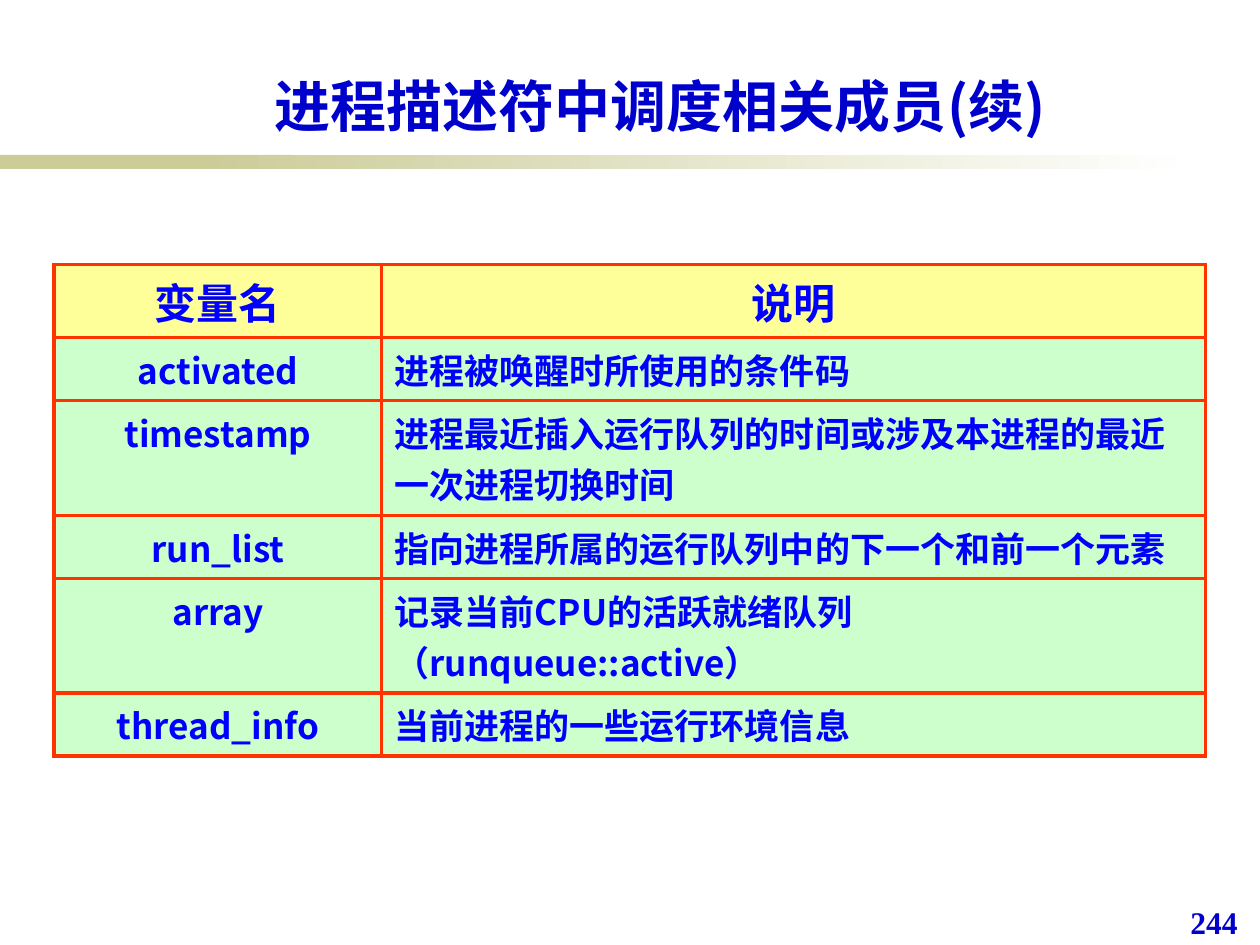
from lxml.etree import SubElement
from pptx import Presentation
from pptx.dml.color import RGBColor
from pptx.enum.shapes import MSO_SHAPE
from pptx.enum.text import MSO_ANCHOR, MSO_AUTO_SIZE, PP_ALIGN
from pptx.oxml.ns import qn
from pptx.util import Inches, Pt

NAVY = RGBColor(0x00, 0x00, 0xCC)
BLUE = RGBColor(0x00, 0x00, 0xFF)
RED = RGBColor(0xFF, 0x33, 0x00)
KHAKI = RGBColor(0xCC, 0xCC, 0x99)
WHITE = RGBColor(0xFF, 0xFF, 0xFF)
YELLOW = RGBColor(0xFF, 0xFF, 0x99)
GREEN = RGBColor(0xCC, 0xFF, 0xCC)

HEADER = ("变量名", "说明")
MEMBERS = [
    ("activated", "进程被唤醒时所使用的条件码"),
    ("timestamp", "进程最近插入运行队列的时间或涉及本进程的最近一次进程切换时间"),
    ("run_list", "指向进程所属的运行队列中的下一个和前一个元素"),
    ("array", "记录当前CPU的活跃就绪队列（runqueue::active）"),
    ("thread_info", "当前进程的一些运行环境信息"),
]
COL_WIDTHS = (2.6, 6.54)
ROW_HEIGHTS = (0.58, 0.5, 0.91, 0.5, 0.91, 0.5)


def write(tf, text, size, color, font, align=PP_ALIGN.LEFT):
    p = tf.paragraphs[0]
    p.alignment = align
    p.space_before = Pt(0)
    r = p.add_run()
    r.text = text
    r.font.size = Pt(size)
    r.font.bold = True
    r.font.color.rgb = color
    r.font.name = font
    SubElement(r.font._element, qn("a:ea"), typeface=font)


def border(cell, color, width):
    tc_pr = cell._tc.get_or_add_tcPr()
    for side in ("lnL", "lnR", "lnT", "lnB"):
        ln = SubElement(tc_pr, qn(f"a:{side}"), w=str(Pt(width)))
        fill = SubElement(ln, qn("a:solidFill"))
        SubElement(fill, qn("a:srgbClr"), val=str(color))


class Deck:
    title_font = "Noto Sans CJK JP"
    body_font = "Noto Sans CJK SC"
    number_font = "Times New Roman"

    def __init__(self):
        self.prs = Presentation()
        self.prs.slide_width, self.prs.slide_height = Inches(10), Inches(7.5)
        self.s = self.prs.slides.add_slide(self.prs.slide_layouts[5])

    def title(self, text, *box):
        sp = self.s.shapes.title
        sp.left, sp.top, sp.width, sp.height = map(Inches, box)
        tf = sp.text_frame
        tf.auto_size = MSO_AUTO_SIZE.NONE
        tf.vertical_anchor = MSO_ANCHOR.BOTTOM
        write(tf, text, 32, NAVY, self.title_font, PP_ALIGN.CENTER)

    def bar(self, *box, fade=False):
        sp = self.s.shapes.add_shape(MSO_SHAPE.RECTANGLE, *map(Inches, box))
        sp.shadow.inherit = False
        sp.line.fill.background()
        if fade:
            sp.fill.gradient()
            sp.fill.gradient_angle = 0
            for stop, color in zip(sp.fill.gradient_stops, (KHAKI, WHITE)):
                stop.color.rgb = color
        else:
            sp.fill.solid()
            sp.fill.fore_color.rgb = KHAKI

    def number(self, text, *box):
        tf = self.s.shapes.add_textbox(*map(Inches, box)).text_frame
        tf.word_wrap = True
        write(tf, text, 18, NAVY, self.number_font)

    def table(self, rows, left, top):
        size = sum(COL_WIDTHS), sum(ROW_HEIGHTS)
        table = self.s.shapes.add_table(
            len(rows), len(COL_WIDTHS), *map(Inches, (left, top, *size))).table
        for col, width in zip(table.columns, COL_WIDTHS):
            col.width = Inches(width)
        for row, height in zip(table.rows, ROW_HEIGHTS):
            row.height = Inches(height)
        for i, row in enumerate(rows):
            for j, text in enumerate(row):
                cell = table.cell(i, j)
                border(cell, RED, 2.25)
                cell.fill.solid()
                cell.fill.fore_color.rgb = GREEN if i else YELLOW
                align = PP_ALIGN.LEFT if i and j else PP_ALIGN.CENTER
                write(cell.text_frame, text, 20 if i else 24, BLUE, self.body_font, align)


def main():
    deck = Deck()
    deck.bar(0, 1.23, 2.33, 0.11)
    deck.bar(1.58, 1.23, 7.92, 0.11, fade=True)
    deck.number("244", 9.35, 7.12, 0.64, 0.37)
    deck.title("进程描述符中调度相关成员(续)", 0.67, 0.44, 9.14, 0.71)
    deck.table([HEADER, *MEMBERS], 0.43, 2.1)
    deck.prs.save("out.pptx")


if __name__ == "__main__":
    main()
